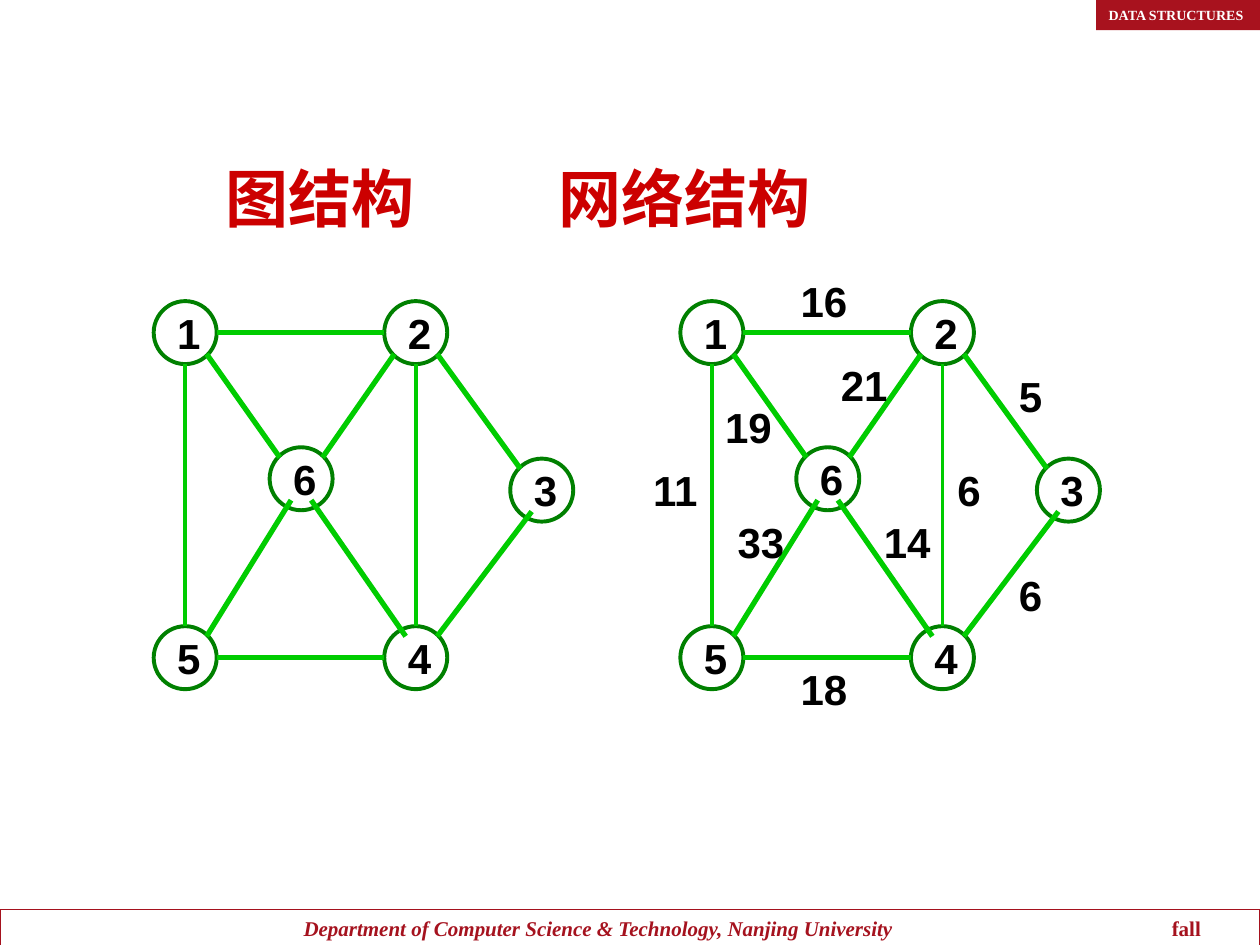
"""Build a slide showing a plain graph beside the same graph with edge weights."""
from typing import NamedTuple

from lxml import etree
from pptx import Presentation
from pptx.dml.color import RGBColor
from pptx.enum.shapes import MSO_CONNECTOR, MSO_SHAPE
from pptx.enum.text import MSO_ANCHOR, MSO_AUTO_SIZE, PP_ALIGN
from pptx.oxml.ns import qn
from pptx.util import Inches, Pt

STRAIGHT = MSO_CONNECTOR.STRAIGHT
OVAL, RECTANGLE = MSO_SHAPE.OVAL, MSO_SHAPE.RECTANGLE
MIDDLE, NO_RESIZE = MSO_ANCHOR.MIDDLE, MSO_AUTO_SIZE.NONE
LEFT, CENTER = PP_ALIGN.LEFT, PP_ALIGN.CENTER
TITLE_ONLY = 5

COLORS = {"title": "CC0000", "edge": "00CC00", "ring": "008000",
          "label": "000000", "brand": "A8121E", "footer": "A5121E", "tag": "FFFFFF"}
NODE_SIZE = 0.5
LABEL_SHIFT = 0.06
WEIGHT_WIDTH, WEIGHT_HEIGHT = 0.57, 0.5
NETWORK_SHIFT = 4.18


class Point(NamedTuple):
    x: float
    y: float


class Edge(NamedTuple):
    start: str
    start_port: str
    end: str
    end_port: str
    width: float
    weight: str
    weight_center: Point


class Style(NamedTuple):
    font: str
    size: float
    color: str


TITLE = Style("Noto Sans CJK SC", 36, "title")
LABEL = Style("Arial", 24, "label")
FOOTER = Style("Times New Roman", 12, "footer")
TAG = Style("Times New Roman", 8, "tag")

NODES = {"1": Point(1.47, 2.64), "2": Point(3.3, 2.64), "3": Point(4.3, 3.89),
         "4": Point(3.3, 5.22), "5": Point(1.47, 5.22), "6": Point(2.39, 3.8)}
PORTS = {"top": Point(0, -0.25), "bottom": Point(0, 0.25),
         "left": Point(-0.25, 0), "right": Point(0.25, 0),
         "top left": Point(-0.17, -0.17), "top right": Point(0.17, -0.17),
         "bottom left": Point(-0.17, 0.17), "bottom right": Point(0.17, 0.17),
         "inner left": Point(-0.08, 0.17), "inner right": Point(0.08, 0.17),
         "inner top": Point(-0.08, -0.17)}
EDGES = [
    Edge("1", "right", "2", "left", 3, "16", Point(2.36, 2.39)),
    Edge("5", "right", "4", "left", 3, "18", Point(2.36, 5.47)),
    Edge("1", "bottom", "5", "top", 2.25, "11", Point(1.18, 3.89)),
    Edge("2", "bottom", "4", "top", 2.25, "6", Point(3.51, 3.89)),
    Edge("1", "bottom right", "6", "top left", 3, "19", Point(1.76, 3.39)),
    Edge("2", "bottom left", "6", "top right", 3, "21", Point(2.68, 3.05)),
    Edge("2", "bottom right", "3", "top left", 3, "5", Point(4, 3.14)),
    Edge("3", "inner left", "4", "top right", 3, "6", Point(4, 4.72)),
    Edge("6", "inner left", "5", "top right", 3, "33", Point(1.86, 4.3)),
    Edge("6", "inner right", "4", "inner top", 3, "14", Point(3.02, 4.3)),
]


def color(name: str) -> RGBColor:
    """Return a named colour."""
    return RGBColor.from_string(COLORS[name])


def format_frame(frame, left: float = 0, wrap: bool = True) -> None:
    """Set the insets, wrapping and anchor of a text frame."""
    values = {"margin_left": Inches(left), "margin_right": 0, "margin_top": 0,
              "margin_bottom": 0, "word_wrap": wrap,
              "auto_size": NO_RESIZE, "vertical_anchor": MIDDLE}
    for name, value in values.items():
        setattr(frame, name, value)


def add_span(para, text: str, style: Style, italic: bool = False) -> None:
    """Add a bold run in the given style."""
    span = para.add_run()
    span.text = text
    values = {"name": style.font, "size": Pt(style.size), "bold": True, "italic": italic}
    for name, value in values.items():
        setattr(span.font, name, value)
    span.font.color.rgb = color(style.color)
    east_asian = etree.SubElement(span.font._element, qn("a:ea"))
    east_asian.set("typeface", style.font)


def add_tab_stop(para, position: float) -> None:
    """Give a paragraph one left tab stop."""
    stops = etree.SubElement(para._p.get_or_add_pPr(), qn("a:tabLst"))
    etree.SubElement(stops, qn("a:tab"), pos=str(Inches(position)), algn="l")


def add_bar(page, left: float, top: float, width: float, height: float, inset: float):
    """Add an unfilled, shadowless bar with left-aligned text."""
    bar = page.shapes.add_shape(RECTANGLE, *map(Inches, (left, top, width, height)))
    bar.shadow.inherit = False
    bar.fill.background()
    format_frame(bar.text_frame, inset)
    bar.text_frame.paragraphs[0].alignment = LEFT
    return bar


def add_node(group, label: str, center: Point) -> None:
    """Add a numbered ring."""
    ring = group.shapes.add_shape(
        OVAL, Inches(center.x - NODE_SIZE / 2), Inches(center.y - NODE_SIZE / 2),
        Inches(NODE_SIZE), Inches(NODE_SIZE))
    ring.shadow.inherit = False
    ring.fill.background()
    ring.line.color.rgb = color("ring")
    ring.line.width = Pt(2.25)
    format_frame(ring.text_frame, LABEL_SHIFT, wrap=False)
    para = ring.text_frame.paragraphs[0]
    para.alignment = CENTER
    add_span(para, label, LABEL)


def add_edge(group, edge: Edge, shift: float) -> None:
    """Add a line between the ports of two nodes."""
    ends = []
    for node, port in ((edge.start, edge.start_port), (edge.end, edge.end_port)):
        ends += [Inches(NODES[node].x + PORTS[port].x + shift),
                 Inches(NODES[node].y + PORTS[port].y)]
    line = group.shapes.add_connector(STRAIGHT, *ends)
    line.line.color.rgb = color("edge")
    line.line.width = Pt(edge.width)
    etree.SubElement(line._element.spPr, qn("a:effectLst"))


def add_weight(group, edge: Edge, shift: float) -> None:
    """Add the weight of an edge."""
    box = group.shapes.add_textbox(
        Inches(edge.weight_center.x + shift - WEIGHT_WIDTH / 2),
        Inches(edge.weight_center.y - WEIGHT_HEIGHT / 2),
        Inches(WEIGHT_WIDTH), Inches(WEIGHT_HEIGHT))
    format_frame(box.text_frame)
    para = box.text_frame.paragraphs[0]
    para.alignment = CENTER
    add_span(para, edge.weight, LABEL)


def add_graph(page, shift: float, weighted: bool) -> None:
    """Add one graph as a group."""
    group = page.shapes.add_group_shape()
    for label, center in NODES.items():
        add_node(group, label, Point(center.x + shift, center.y))
    for edge in EDGES:
        add_edge(group, edge, shift)
        if weighted:
            add_weight(group, edge, shift)


def add_title(page) -> None:
    """Fill the title with the two graph names."""
    title = page.shapes.title
    values = {"left": 1.67, "top": 1.21, "width": 6.25, "height": 0.72}
    for name, value in values.items():
        setattr(title, name, Inches(value))
    format_frame(title.text_frame, 0.12)
    para = title.text_frame.paragraphs[0]
    para.alignment = LEFT
    add_tab_stop(para, 2.64)
    add_span(para, "图结构\t网络结构", TITLE)


def add_frame_bars(page) -> None:
    """Add the course tag and the footer."""
    tag = add_bar(page, 8.7, 0, 1.3, 0.24, 0.1)
    tag.fill.solid()
    tag.fill.fore_color.rgb = color("brand")
    tag.line.fill.background()
    add_span(tag.text_frame.paragraphs[0], "DATA STRUCTURES", TAG)
    footer = add_bar(page, 0, 7.22, 10, 0.3, 2.41)
    footer.line.color.rgb = color("footer")
    footer.line.width = Pt(0.75)
    para = footer.text_frame.paragraphs[0]
    add_tab_stop(para, 6.89)
    add_span(para, "Department of Computer Science & Technology, Nanjing University",
             FOOTER, italic=True)
    add_span(para, "\tfall", FOOTER)


def main() -> None:
    """Build and save the deck."""
    deck = Presentation()
    deck.slide_width, deck.slide_height = Inches(10), Inches(7.5)
    page = deck.slides.add_slide(deck.slide_layouts[TITLE_ONLY])
    add_frame_bars(page)
    add_title(page)
    add_graph(page, NETWORK_SHIFT, weighted=True)
    add_graph(page, 0, weighted=False)
    deck.save("out.pptx")


if __name__ == "__main__":
    main()
